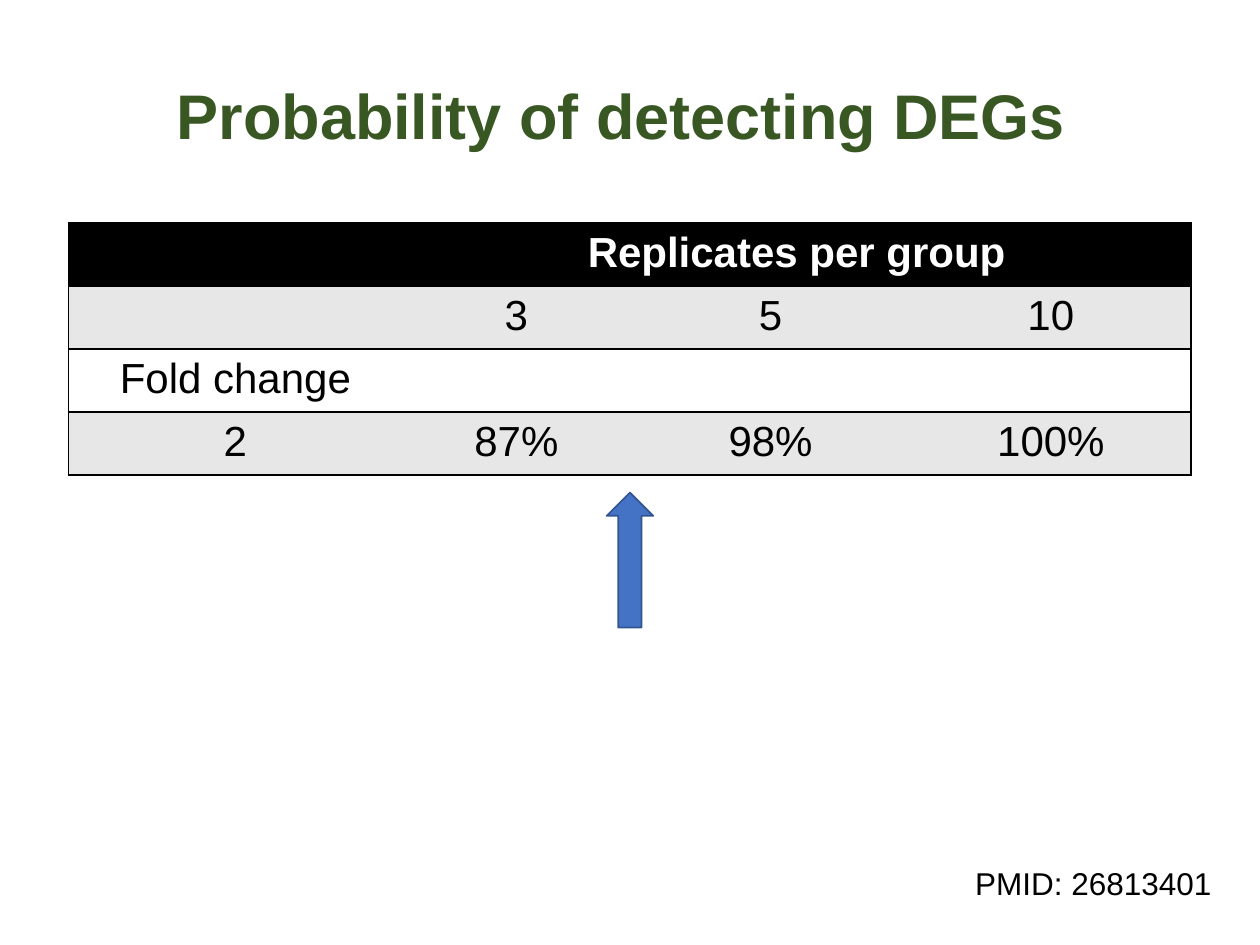
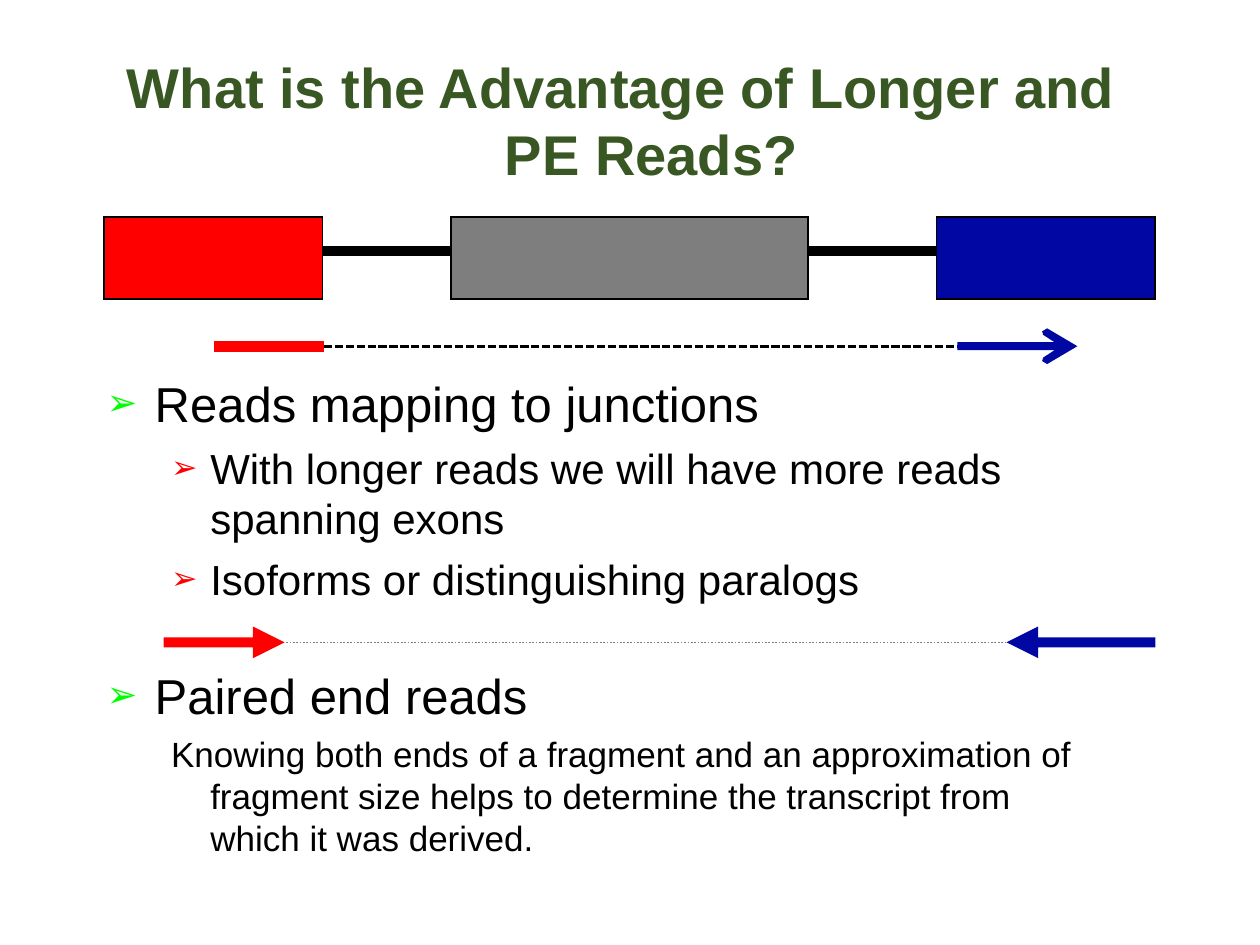
"""Build two slides on detecting DEGs and on longer, paired-end reads."""
from dataclasses import dataclass
from typing import Any, Optional

from lxml import etree
from pptx import Presentation
from pptx.dml.color import RGBColor
from pptx.enum.dml import MSO_LINE
from pptx.enum.shapes import MSO_CONNECTOR, MSO_SHAPE
from pptx.enum.text import MSO_ANCHOR, MSO_AUTO_SIZE, PP_ALIGN
from pptx.oxml.ns import qn
from pptx.util import Cm, Pt

CENTER, LEFT = PP_ALIGN.CENTER, PP_ALIGN.LEFT
MIDDLE, TOP = MSO_ANCHOR.MIDDLE, MSO_ANCHOR.TOP
NO_AUTOFIT = MSO_AUTO_SIZE.NONE
STRAIGHT = MSO_CONNECTOR.STRAIGHT
UP_ARROW = MSO_SHAPE.UP_ARROW
DOTTED, DASHED = MSO_LINE.ROUND_DOT, MSO_LINE.SQUARE_DOT
TITLE_ONLY = 5


@dataclass(frozen=True)
class Theme:
    font: str = "Arial"
    black: RGBColor = RGBColor(0x00, 0x00, 0x00)
    white: RGBColor = RGBColor(0xFF, 0xFF, 0xFF)
    title: RGBColor = RGBColor(0x38, 0x57, 0x23)
    band: RGBColor = RGBColor(0xE7, 0xE7, 0xE7)
    pointer: RGBColor = RGBColor(0x44, 0x72, 0xC4)
    pointer_edge: RGBColor = RGBColor(0x32, 0x54, 0x91)
    red: RGBColor = RGBColor(0xFF, 0x00, 0x00)
    gray: RGBColor = RGBColor(0x7E, 0x7E, 0x7E)
    blue: RGBColor = RGBColor(0x00, 0x07, 0xA3)
    green: RGBColor = RGBColor(0x00, 0xFF, 0x00)
    title_size: int = 36
    long_title_size: int = 32
    topic_size: int = 28
    text_size: int = 24
    detail_size: int = 20
    citation_size: int = 18
    empty_cell_size: int = 10
    border: int = 1
    intron: int = 6


THEME = Theme()


@dataclass(frozen=True)
class Box:
    left: float
    top: float
    width: float
    height: float

    def lengths(self) -> tuple:
        return Cm(self.left), Cm(self.top), Cm(self.width), Cm(self.height)


@dataclass(frozen=True)
class Point:
    text: str
    size: int
    margin: float
    hanging: float
    space_before: float = 0
    bullet: Optional[RGBColor] = None


@dataclass(frozen=True)
class Segment:
    start: float
    end: float
    top: float
    color: RGBColor
    width: float
    dash: Any = None


@dataclass(frozen=True)
class ReadArrow:
    tail: float
    tip: float
    top: float
    color: RGBColor
    shaft: float
    head: tuple


CITATION = Box(19.41, 17.3, 5.33, 1.02)
POINTER = Box(12.23, 9.93, 0.94, 2.72)
BODY = Box(2.13, 7.24, 20.07, 10.16)

TABLE_LEFT, TABLE_TOP, ROW_HEIGHT = 1.38, 4.5, 1.27
COLUMN_WIDTHS = (6.73, 4.6, 5.65, 5.65)
DETECTION_ROWS = (
    ("", "Replicates per group", "", ""),
    ("", "3", "5", "10"),
    ("Fold change", "", "", ""),
    ("2", "87%", "98%", "100%"),
)

GENE_LEFT, GENE_TOP = 2.1, 4.37
GENE_WIDTHS = (4.4, 2.59, 7.2, 2.59, 4.4)
GENE_HEIGHTS = (0.69, 0.97)
GENE_FILLS = (THEME.red, None, THEME.gray, None, THEME.blue)

JUNCTION_TOP, PAIR_TOP = 6.98, 12.95
SEGMENTS = (
    Segment(4.32, 6.53, JUNCTION_TOP, THEME.red, 6),
    Segment(6.53, 19.33, JUNCTION_TOP, THEME.black, 1.56, DASHED),
    Segment(5.7, 20.3, PAIR_TOP, THEME.gray, 0.96, DOTTED),
)
SOLID_HEAD = ((0.64, 0.1), (0.64, 0.32))
OPEN_HEAD = ((0.46, 0.08), (0.69, 0.23), (0.71, 0.3), (0.61, 0.36))
READ_ARROWS = (
    ReadArrow(19.3, 21.72, JUNCTION_TOP, THEME.blue, 0.08, OPEN_HEAD),
    ReadArrow(3.3, 5.74, PAIR_TOP, THEME.red, 0.1, SOLID_HEAD),
    ReadArrow(23.29, 20.29, PAIR_TOP, THEME.blue, 0.1, SOLID_HEAD),
)

TOPIC = {"size": THEME.topic_size, "margin": 0.99, "hanging": 0.97, "bullet": THEME.green}
SUBTOPIC = {"size": THEME.text_size, "margin": 2.11, "hanging": 0.79,
            "bullet": THEME.red, "space_before": 6}
POINTS = (
    Point("Reads mapping to junctions", **TOPIC),
    Point("With longer reads we will have more reads spanning exons", **SUBTOPIC),
    Point("Isoforms or distinguishing paralogs", **SUBTOPIC),
    Point("Paired end reads", space_before=35, **TOPIC),
    Point("Knowing both ends of a fragment and an approximation of fragment size helps to "
          "determine the transcript from which it was derived.",
          THEME.detail_size, 2.11, 0.79, 5),
)


def apply(target: Any, formats: dict) -> None:
    for name, value in formats.items():
        setattr(target, name, value)


def style_font(font: Any, size: int, color: RGBColor = THEME.black, bold: bool = False) -> None:
    apply(font, {"name": THEME.font, "size": Pt(size), "bold": bold})
    font.color.rgb = color


def set_indent(paragraph: Any, margin: float, hanging: float) -> Any:
    properties = paragraph._p.get_or_add_pPr()
    properties.set("marL", str(Cm(margin)))
    properties.set("indent", str(-Cm(hanging)))
    return properties


def add_element(parent: Any, tag: str, **attributes: str) -> Any:
    return etree.SubElement(parent, qn(tag), attributes)


def fill_solid(target: Any, color: RGBColor) -> None:
    target.fill.solid()
    target.fill.fore_color.rgb = color


def add_titled_slide(presentation: Any, text: str, box: Box, size: int, alignment: Any) -> Any:
    slide = presentation.slides.add_slide(presentation.slide_layouts[TITLE_ONLY])
    title = slide.shapes.title
    apply(title, dict(zip(("left", "top", "width", "height"), box.lengths())))
    frame = title.text_frame
    apply(frame, {"text": text, "word_wrap": True, "auto_size": NO_AUTOFIT,
                  "vertical_anchor": MIDDLE, "margin_left": 0, "margin_right": 0,
                  "margin_top": 0, "margin_bottom": 0})
    paragraph = frame.paragraphs[0]
    paragraph.alignment = alignment
    style_font(paragraph.font, size, THEME.title, bold=True)
    return slide


def add_pointer(slide: Any) -> None:
    shape = slide.shapes.add_shape(UP_ARROW, *POINTER.lengths())
    shape.shadow.inherit = False
    fill_solid(shape, THEME.pointer)
    shape.line.color.rgb = THEME.pointer_edge
    shape.line.width = Pt(THEME.border)


def add_segment(slide: Any, segment: Segment) -> None:
    top = Cm(segment.top)
    connector = slide.shapes.add_connector(STRAIGHT, Cm(segment.start), top, Cm(segment.end), top)
    connector.line.color.rgb = segment.color
    connector.line.width = Pt(segment.width)
    if segment.dash:
        connector.line.dash_style = segment.dash
    add_element(connector._element.spPr, "a:effectLst")


def add_read_arrow(slide: Any, arrow: ReadArrow) -> None:
    direction = 1 if arrow.tip > arrow.tail else -1
    upper = [(arrow.tail, -arrow.shaft)]
    upper += [(arrow.tip - direction * back, -half) for back, half in arrow.head]
    lower = [(x, -offset) for x, offset in reversed(upper)]
    outline = [(Cm(x), Cm(arrow.top + offset)) for x, offset in upper + [(arrow.tip, 0)] + lower]
    builder = slide.shapes.build_freeform(*outline[0])
    builder.add_line_segments(outline[1:], close=True)
    shape = builder.convert_to_shape()
    shape.shadow.inherit = False
    fill_solid(shape, arrow.color)
    shape.line.fill.background()


def set_borders(cell: Any, widths: dict) -> None:
    properties = cell._tc.get_or_add_tcPr()
    for side in "LRTB":
        width = widths.get(side, 0)
        border = add_element(properties, f"a:ln{side}", w=str(Pt(width)))
        if width:
            add_element(add_element(border, "a:solidFill"), "a:srgbClr", val=str(THEME.black))
        else:
            add_element(border, "a:noFill")


def add_plain_table(slide: Any, left: float, top: float, widths: tuple, heights: tuple) -> Any:
    box = Box(left, top, sum(widths), sum(heights))
    table = slide.shapes.add_table(len(heights), len(widths), *box.lengths()).table
    apply(table, {"first_row": False, "horz_banding": False})
    for column, width in zip(table.columns, widths):
        column.width = Cm(width)
    for row, height in zip(table.rows, heights):
        row.height = Cm(height)
    return table


def add_detection_table(slide: Any) -> None:
    table = add_plain_table(slide, TABLE_LEFT, TABLE_TOP, COLUMN_WIDTHS,
                            (ROW_HEIGHT,) * len(DETECTION_ROWS))
    last_column = len(COLUMN_WIDTHS) - 1
    row_fills = (THEME.black, THEME.band, THEME.white, THEME.band)
    for row_index, (row, fill) in enumerate(zip(DETECTION_ROWS, row_fills)):
        is_header = row_index == 0
        for column_index, text in enumerate(row):
            cell = table.cell(row_index, column_index)
            left = "L" if column_index == 0 else ""
            right = "R" if column_index == last_column or (is_header and column_index) else ""
            set_borders(cell, dict.fromkeys("TB" + left + right, THEME.border))
            fill_solid(cell, fill)
            cell.text = text
            paragraph = cell.text_frame.paragraphs[0]
            paragraph.alignment = CENTER
            style_font(paragraph.font, THEME.text_size,
                       THEME.white if is_header else THEME.black, bold=is_header)
    table.cell(0, 1).merge(table.cell(0, last_column))


def add_gene_table(slide: Any) -> None:
    table = add_plain_table(slide, GENE_LEFT, GENE_TOP, GENE_WIDTHS, GENE_HEIGHTS)
    for column_index, fill in enumerate(GENE_FILLS):
        for row_index, intron_side in enumerate("BT"):
            cell = table.cell(row_index, column_index)
            apply(cell, {"margin_top": 0, "margin_bottom": 0})
            borders = dict.fromkeys("LR" if fill is None else "LRTB", THEME.border)
            if fill is None:
                borders[intron_side] = THEME.intron
            set_borders(cell, borders)
            if fill is None:
                cell.fill.background()
            else:
                fill_solid(cell, fill)
            add_element(cell.text_frame.paragraphs[0]._p, "a:endParaRPr",
                        sz=str(THEME.empty_cell_size * 100))
        if fill is not None:
            table.cell(0, column_index).merge(table.cell(1, column_index))


def add_points(slide: Any) -> None:
    frame = slide.shapes.add_textbox(*BODY.lengths()).text_frame
    apply(frame, {"word_wrap": True, "vertical_anchor": TOP, "margin_left": 0,
                  "margin_right": 0, "margin_top": Cm(0.28), "margin_bottom": 0})
    for index, point in enumerate(POINTS):
        paragraph = frame.add_paragraph() if index else frame.paragraphs[0]
        properties = set_indent(paragraph, point.margin, point.hanging)
        if point.bullet is not None:
            add_element(add_element(properties, "a:buClr"), "a:srgbClr", val=str(point.bullet))
            add_element(properties, "a:buSzPct", val="75000")
            add_element(properties, "a:buFont", typeface=THEME.font)
            add_element(properties, "a:buChar", char="➢")
        apply(paragraph, {"text": point.text, "alignment": LEFT})
        if point.space_before:
            paragraph.space_before = Pt(point.space_before)
        style_font(paragraph.font, point.size)


def build_detection_slide(presentation: Any) -> None:
    slide = add_titled_slide(presentation, "Probability of detecting DEGs",
                             Box(1.22, 0.91, 22.61, 2.79), THEME.title_size, CENTER)
    add_detection_table(slide)
    add_pointer(slide)
    frame = slide.shapes.add_textbox(*CITATION.lengths()).text_frame
    apply(frame, {"text": "PMID: 26813401", "word_wrap": False})
    style_font(frame.paragraphs[0].font, THEME.citation_size)


def build_reads_slide(presentation: Any) -> None:
    slide = add_titled_slide(presentation, "What is the Advantage of Longer and PE Reads?",
                             Box(2.51, 1.01, 20.96, 2.79), THEME.long_title_size, LEFT)
    set_indent(slide.shapes.title.text_frame.paragraphs[0], 7.67, 7.62)
    add_points(slide)
    for segment in SEGMENTS:
        add_segment(slide, segment)
    for arrow in READ_ARROWS:
        add_read_arrow(slide, arrow)
    add_gene_table(slide)


def main() -> None:
    presentation = Presentation()
    apply(presentation, {"slide_width": Cm(25.4), "slide_height": Cm(19.05)})
    build_detection_slide(presentation)
    build_reads_slide(presentation)
    presentation.save("out.pptx")


if __name__ == "__main__":
    main()
